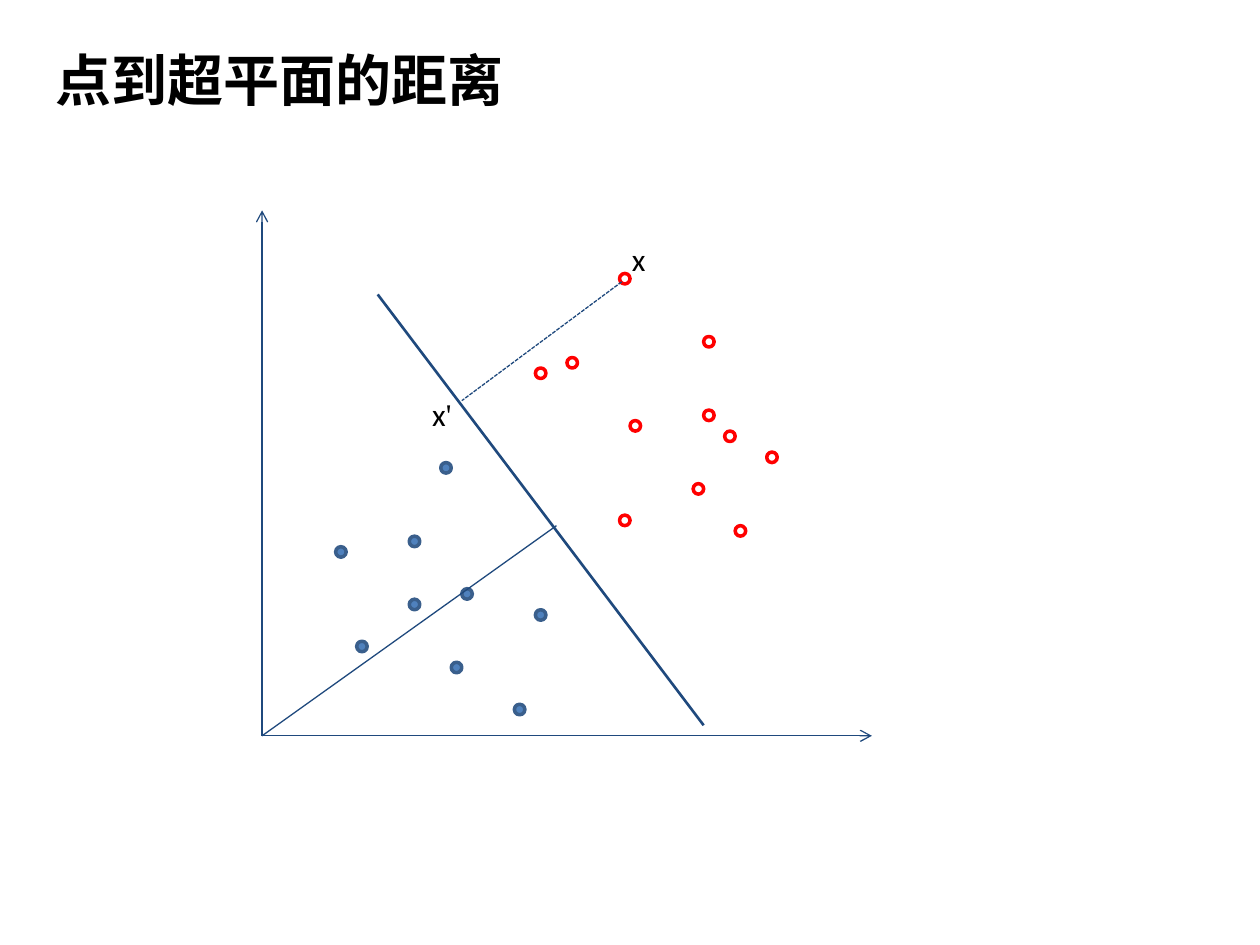
from dataclasses import dataclass

from pptx import Presentation
from pptx.dml.color import RGBColor as Rgb
from pptx.enum.dml import MSO_LINE as Dash
from pptx.enum.shapes import MSO_CONNECTOR as Conn, MSO_SHAPE as Shape
from pptx.enum.text import MSO_ANCHOR as Anchor, MSO_AUTO_SIZE as Auto, PP_ALIGN as Align
from pptx.oxml.ns import qn
from pptx.util import Inches, Pt


@dataclass(frozen=True)
class Theme:
    ink: Rgb = Rgb(0, 0, 0)
    line: Rgb = Rgb(0x1F, 0x49, 0x7D)
    fill: Rgb = Rgb(0x4F, 0x81, 0xBD)
    rim: Rgb = Rgb(0x3A, 0x5F, 0x8C)
    red: Rgb = Rgb(0xFF, 0, 0)
    font: str = "Calibri"
    prime: str = "Times New Roman"
    head: Pt = Pt(32)
    label: Pt = Pt(18)
    thin: Pt = Pt(0.75)
    thick: Pt = Pt(1.5)
    ring: Pt = Pt(2)


THEME = Theme()

# Plot coordinates in grid steps, counted from the top left of the plot
COLS, ROWS = 58, 50
BLUE = [(7, 32), (14, 31), (14, 37), (26, 38), (19, 36), (18, 43),
        (17, 24), (24, 47), (9, 41)]
RED = [(29, 14), (42, 19), (34, 6), (35, 20), (34, 29), (26, 15),
       (41, 26), (42, 12), (45, 30), (48, 23), (44, 21)]


def set_font(font, size, bold=False):
    font.name, font.size, font.bold = THEME.font, size, bold
    font.color.rgb = THEME.ink


def add_title(slide, left, top, width, height):
    title = slide.shapes.title
    title.left, title.top = Inches(left), Inches(top)
    title.width, title.height = Inches(width), Inches(height)
    frame = title.text_frame
    frame.text = "点到超平面的距离"
    frame.vertical_anchor = Anchor.MIDDLE
    para = frame.paragraphs[0]
    para.alignment = Align.LEFT
    para._p.get_or_add_pPr().set("marL", str(Inches(0.34)))
    set_font(para.font, THEME.head, True)


def add_line(group, start, end, width, arrow=False, dash=None):
    link = group.shapes.add_connector(Conn.STRAIGHT, *start, *end)
    link.line.color.rgb = THEME.line
    link.line.width = width
    if dash:
        link.line.dash_style = dash
    props = link._element.spPr
    if arrow:
        tail = props.find(qn("a:ln")).makeelement(qn("a:tailEnd"), {"type": "arrow"})
        props.find(qn("a:ln")).append(tail)
    props.append(props.makeelement(qn("a:effectLst"), {}))


def add_dot(group, spot, step, color, fill=None):
    dot = group.shapes.add_shape(Shape.OVAL, *spot, step, step)
    dot.shadow.inherit = False
    if fill is None:
        dot.fill.background()
    else:
        dot.fill.solid()
        dot.fill.fore_color.rgb = fill
    dot.line.color.rgb = color
    dot.line.width = THEME.ring


def add_label(group, spot, width, prime=False):
    box = group.shapes.add_textbox(*spot, Inches(width), Inches(0.4))
    frame = box.text_frame
    frame.word_wrap = False
    frame.auto_size = Auto.SHAPE_TO_FIT_TEXT
    para = frame.paragraphs[0]
    set_font(para.font, THEME.label)
    para.add_run().text = "x"
    if prime:
        mark = para.add_run()
        mark.text = "'"
        mark.font.name = THEME.prime


def add_plot(slide, left, top, width, height):
    group = slide.shapes.add_group_shape()

    def at(col, row):
        return (Inches(left + col * width / COLS),
                Inches(top + row * height / ROWS))

    step = Inches(width / COLS)
    zero = at(0, ROWS)

    # Axes
    for end in (at(COLS, ROWS), at(0, 0)):
        add_line(group, zero, end, THEME.thin, arrow=True)

    # Two classes of points
    for spot in BLUE:
        add_dot(group, at(*spot), step, THEME.rim, THEME.fill)
    for spot in RED:
        add_dot(group, at(*spot), step, THEME.red)

    # Hyperplane, distance from x, and normal from the origin
    add_line(group, at(11, 8), at(42, 49), THEME.thick)
    add_line(group, at(34.2, 6.8), at(19, 18.1), THEME.thin, dash=Dash.SQUARE_DOT)
    add_line(group, zero, at(28, 30), THEME.thin)

    # Point names
    add_label(group, at(34, 2.2), 0.31)
    add_label(group, at(15, 17), 0.36, prime=True)


def main():
    deck = Presentation()
    deck.slide_width, deck.slide_height = Inches(10), Inches(7.5)
    slide = deck.slides.add_slide(deck.slide_layouts[5])
    add_title(slide, 0, 0, 9, 1.25)
    add_plot(slide, 2.08, 1.67, 4.84, 4.17)
    deck.save("out.pptx")


if __name__ == "__main__":
    main()
